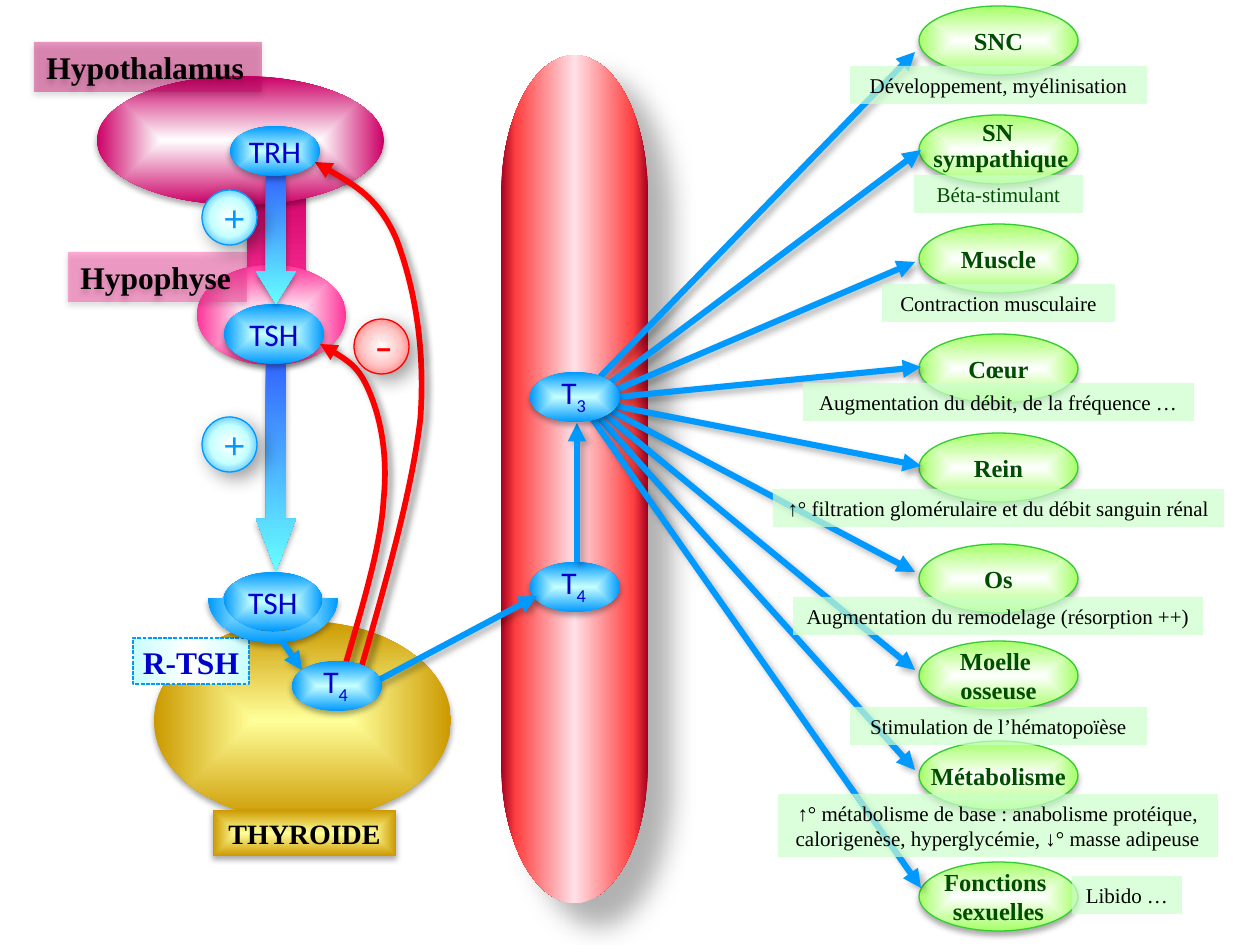
from dataclasses import dataclass

from lxml.etree import SubElement
from pptx import Presentation
from pptx.dml.color import RGBColor
from pptx.enum.dml import MSO_LINE
from pptx.enum.shapes import MSO_CONNECTOR, MSO_SHAPE
from pptx.enum.text import MSO_ANCHOR, PP_ALIGN
from pptx.oxml.ns import qn
from pptx.util import Emu, Inches, Pt

SCALE = 914400 / 126


@dataclass(frozen=True)
class Theme:
    serif: str = "Times New Roman"
    sans: str = "Calibri"
    sign: str = "Montserrat"
    big: int = 18
    title: int = 16
    organ: int = 14
    note: int = 12
    black: str = "000000"
    blue: str = "0099FF"
    navy: str = "0000CC"
    red: str = "FF0000"
    green: str = "33CC33"
    dark: str = "004C00"
    mint: str = "CCFFCC"
    magenta: str = "CC0066"
    pink: str = "FF3399"
    vessel: tuple = ((0, "A50021"), (10, "FF3F3F"), (50, "FFE1E7"), (90, "FF3F3F"), (100, "A50021"))
    gold: tuple = ((0, "FFFF99"), (100, "CC9900"))
    hormone: tuple = ((0, "C5FFFF"), (100, "0099FF"))
    lime: tuple = ((0, "FFFFFF"), (100, "A5FF67"))
    arrow: tuple = ((0, "3366FF"), (100, "66FFFF"))
    receptor: tuple = ((0, "C9FEFF"), (50, "FFFFFF"), (100, "C9FEFF"))
    plus: tuple = ((0, "FFFFFF"), (50, "C5FFFF"), (100, "0099FF"))
    minus: tuple = ((0, "FFFFFF"), (50, "FFC5C5"), (100, "FF4F4F"))
    soft: tuple = (32, 3.5, 2.2, 90)
    line_shadow: tuple = (30, 4, 3, 45)
    curve_shadow: tuple = (40, 4, 3, 45)
    sign_shadow: tuple = (38, 11, 5, 45)
    vessel_shadow: tuple = (30, 15, 18, 45)


T = Theme()


def px(n):
    return Emu(round(n * SCALE))


def rgb(c):
    return RGBColor.from_string(c)


def set_shadow(sp, shadow):
    lst = SubElement(sp._element.spPr, qn("a:effectLst"))
    if shadow:
        alpha, blur, dist, angle = shadow
        sh = SubElement(lst, qn("a:outerShdw"), blurRad=str(Pt(blur)), dist=str(Pt(dist)),
                        dir=str(angle * 60000), algn="ctr", rotWithShape="0")
        c = SubElement(sh, qn("a:srgbClr"), val=T.black)
        SubElement(c, qn("a:alpha"), val=str(alpha * 1000))


def set_fill(sp, fill, path=None, angle=0, alpha=None):
    if fill is None:
        sp.fill.background()
    elif isinstance(fill, str):
        sp.fill.solid()
        sp.fill.fore_color.rgb = rgb(fill)
        if alpha:
            c = sp._element.spPr.find(qn("a:solidFill"))[0]
            SubElement(c, qn("a:alpha"), val=str(alpha * 1000))
    else:
        sp.fill.gradient()
        grad = sp._element.spPr.find(qn("a:gradFill"))
        for child in list(grad):
            grad.remove(child)
        stops = SubElement(grad, qn("a:gsLst"))
        for pos, color in fill:
            gs = SubElement(stops, qn("a:gs"), pos=str(pos * 1000))
            SubElement(gs, qn("a:srgbClr"), val=color)
        if path:
            p = SubElement(grad, qn("a:path"), path=path)
            SubElement(p, qn("a:fillToRect"), l="50000", t="50000", r="50000", b="50000")
        else:
            SubElement(grad, qn("a:lin"), ang=str(angle * 60000), scaled="1")


def style(sp, fill=None, line=None, width=0.75, dash=None, tail=False, shadow=T.soft, **kw):
    set_fill(sp, fill, **kw)
    if line:
        sp.line.color.rgb = rgb(line)
        sp.line.width = Pt(width)
        if dash:
            sp.line.dash_style = dash
    else:
        sp.line.fill.background()
    if tail:
        SubElement(sp.line._get_or_add_ln(), qn("a:tailEnd"), type="triangle")
    set_shadow(sp, shadow)
    return sp


def shape(s, box, kind, x, y, w, h, fill, rot=0, adj=(), **kw):
    sp = s.shapes.add_shape(kind, px(box[0] + x), px(box[1] + y), px(w), px(h))
    sp.rotation = rot
    for i, value in enumerate(adj):
        sp.adjustments[i] = value
    return style(sp, fill, **kw)


def ellipse(s, box, x, y, w, h, fill, path="shape", **kw):
    return shape(s, box, MSO_SHAPE.OVAL, x, y, w, h, fill, path=path, **kw)


def write(sp, text, font=T.serif, size=T.big, color=T.black, bold=False, align=PP_ALIGN.CENTER,
          anchor=MSO_ANCHOR.TOP, wrap=True, spacing=None, insets=(0.1, 0.05, 0.1, 0.05), sub=""):
    tf = sp.text_frame
    tf.word_wrap, tf.vertical_anchor = wrap, anchor
    tf.margin_left, tf.margin_top, tf.margin_right, tf.margin_bottom = map(Inches, insets)
    for i, part in enumerate(text.split("\n")):
        p = tf.paragraphs[0] if i == 0 else tf.add_paragraph()
        p.alignment, p.line_spacing = align, spacing
        for piece in filter(None, (part, sub)):
            r = p.add_run()
            r.text = piece
            r.font.name, r.font.size, r.font.bold = font, Pt(size), bold
            r.font.color.rgb = rgb(color)
        if sub:
            r.font._element.set("baseline", "-25000")


def arrow(s, box, x1, y1, x2, y2):
    x, y = box[:2]
    c = s.shapes.add_connector(MSO_CONNECTOR.STRAIGHT, px(x + x1), px(y + y1), px(x + x2), px(y + y2))
    c.line.color.rgb = rgb(T.blue)
    c.line.width = Pt(3.5)
    SubElement(c.line._get_or_add_ln(), qn("a:tailEnd"), type="triangle")
    set_shadow(c, T.line_shadow)


def curved(s, box, points, segments, rot, close=False):
    points = [(px(box[0] + x), px(box[1] + y)) for x, y in points]
    fb = s.shapes.build_freeform(*points[0])
    fb.add_line_segments(points[1:], close=close)
    sp = fb.convert_to_shape()
    sp.rotation = rot
    steps = iter(list(sp._element.iter(qn("a:lnTo"))))
    for kind in segments:
        first = next(steps)
        if kind == "C":
            for step in (next(steps), next(steps)):
                first.append(step[0])
                step.getparent().remove(step)
            first.tag = qn("a:cubicBezTo")
    return sp


def hormone(s, box, x, y, number):
    ellipse(s, box, x, y, 90, 50, T.hormone)
    tb = s.shapes.add_textbox(px(box[0] + x + 19), px(box[1] + y - 5), px(59), px(50))
    write(tb, "T", font=T.sans, color=T.navy, align=PP_ALIGN.LEFT, sub=number)


def vessel(s, box):
    shape(s, box, MSO_SHAPE.FLOWCHART_MAGNETIC_DISK, 1, 0, 147, 848, T.vessel,
          rot=180, angle=180, shadow=T.vessel_shadow)


def circulating(s, box):
    hormone(s, box, 30, 507, "4")
    arrow(s, box, 77, 507, 77, 368)
    hormone(s, box, 30, 317, "3")


def targets(s, box):
    rows = [
        ("SNC", 6, (18, 379, 335, 52), "Développement, myélinisation", 297, 66),
        ("SN \nsympathique", 115, (18, 392, 341, 150), "Béta-stimulant", 169, 175),
        ("Muscle", 224, (31, 392, 335, 262), "Contraction musculaire", 233, 284),
        ("Cœur", 334, (37, 397, 341, 367), "Augmentation du débit, de la fréquence …", 391, 383),
        ("Rein", 433, (25, 404, 341, 466), "↑° filtration glomérulaire et du débit sanguin rénal", 451, 489),
        ("Os", 544, (18, 404, 335, 572), "Augmentation du remodelage (résorption ++)", 410, 597),
        ("Moelle \nosseuse", 641, (12, 404, 335, 670), "Stimulation de l’hématopoïèse", 297, 707),
        ("Métabolisme", 741, (13, 411, 335, 770), "↑° métabolisme de base : anabolisme protéique, "
         "calorigenèse, hyperglycémie, ↓° masse adipeuse", 440, 794),
        ("Fonctions \nsexuelles", 862, (7, 411, 341, 888), "Libido …", 110, 876),
    ]
    for name, y, *_ in rows:
        sp = ellipse(s, box, 339, y, 159, 69, T.lime, line=T.green)
        tight = dict(spacing=0.9, insets=(0.1, 0, 0.06, 0.05)) if name.startswith("SN ") else {}
        write(sp, name, size=T.organ, color=T.dark, bold=True, anchor=MSO_ANCHOR.MIDDLE, wrap=False, **tight)
    for row in rows:
        arrow(s, box, *row[2])
    for _, _, _, note, w, y in rows:
        center = 547 if note.startswith("Libido") else 418
        h = 63 if note.startswith("↑° méta") else 38
        sp = shape(s, box, MSO_SHAPE.RECTANGLE, center - w // 2, y, w, h, T.mint, alpha=70, shadow=None)
        write(sp, note, size=T.note, color=T.dark if note.startswith("Béta") else T.black)


def axis(s, box):
    def stimulus(x, y, w, h, text):
        write(ellipse(s, box, x, y, w, h, T.hormone), text, font=T.sans, color=T.navy,
              anchor=MSO_ANCHOR.MIDDLE, wrap=False)

    def feedback(*points):
        style(curved(s, box, points, "CCC", 13.4), line=T.red, width=3.25, tail=True, shadow=T.curve_shadow)

    ellipse(s, box, 124, 581, 297, 199, T.gold)
    shape(s, box, MSO_SHAPE.ROUNDED_RECTANGLE, 177, 174, 139, 59, ((0, T.magenta), (100, T.pink)), rot=90)
    ellipse(s, box, 167, 225, 149, 100, ((0, "FFFFFF"), (100, T.pink)))
    ellipse(s, box, 67, 36, 287, 129, ((0, "FFFFFF"), (100, T.magenta)))
    for text, x, y, w, color in (("Hypothalamus", 4, 2, 228, T.magenta), ("Hypophyse", 38, 212, 179, T.pink)):
        sp = shape(s, box, MSO_SHAPE.RECTANGLE, x, y, w, 50, color, alpha=40)
        write(sp, text, bold=True, align=PP_ALIGN.LEFT)

    shape(s, box, MSO_SHAPE.DOWN_ARROW, 226, 323, 40, 208, T.arrow, adj=(0.5, 1.31), angle=90)
    stimulus(194, 264, 100, 60, "TSH")
    shape(s, box, MSO_SHAPE.DOWN_ARROW, 226, 135, 40, 129, T.arrow, adj=(0.5, 0.81), angle=90)
    feedback((385, 641), (390, 537), (395, 435), (386, 360), (374, 286), (347, 229), (321, 191),
             (294, 155), (258, 145), (224, 135))
    stimulus(200, 86, 90, 50, "TRH")
    sp = shape(s, box, MSO_SHAPE.RECTANGLE, 183, 770, 183, 46, T.gold, path="shape")
    write(sp, "THYROIDE", size=T.title, bold=True)
    feedback((352, 619), (355, 557), (359, 494), (351, 449), (345, 404), (329, 370), (312, 347),
             (296, 325), (274, 318), (253, 312))
    stimulus(193, 532, 100, 59, "TSH")
    sp = shape(s, box, MSO_SHAPE.RECTANGLE, 103, 598, 116, 46, T.receptor, line=T.blue,
               dash=MSO_LINE.SQUARE_DOT, shadow=None)
    write(sp, "R-TSH", color=T.navy, bold=True, insets=(0.04, 0.04, 0.04, 0.03))
    inner = [(193, 558), (193, 539), (216, 524), (243, 524), (270, 524), (293, 539), (293, 558)]
    outer = [(308, 558), (308, 534), (279, 513), (243, 513), (207, 513), (178, 534), (178, 558)]
    cup = curved(s, box, inner + outer, "CCLCC", 180, close=True)
    half = cup.height
    cup.height = 2 * half
    cup._element.spPr.find(".//" + qn("a:path")).set("h", str(2 * half))
    style(cup, T.hormone, path="shape")
    arrow(s, box, 252, 601, 272, 630)
    arrow(s, box, 345, 642, 507, 556)
    hormone(s, box, 262, 621, "4")

    for text, x, y, fill, color, size, top in (("+", 172, 377, T.plus, T.blue, 24, 0.05),
                                               ("+", 172, 150, T.plus, T.blue, 24, 0.05),
                                               ("-", 324, 279, T.minus, T.red, 28, 0)):
        sp = ellipse(s, box, x, y, 55, 55, fill, path="circle", line=color, shadow=T.sign_shadow)
        write(sp, text, font=T.sign, size=size, color=color, anchor=MSO_ANCHOR.MIDDLE,
              insets=(0.1, top, 0.1, 0.05))


def main():
    prs = Presentation()
    prs.slide_width, prs.slide_height = px(1260), px(945)
    s = prs.slides.add_slide(prs.slide_layouts[6])
    vessel_box = (500, 55, 150, 850)
    vessel(s, vessel_box)
    targets(s, (580, 0, 650, 945))
    circulating(s, vessel_box)
    axis(s, (30, 40, 430, 830))
    prs.save("out.pptx")


if __name__ == "__main__":
    main()
